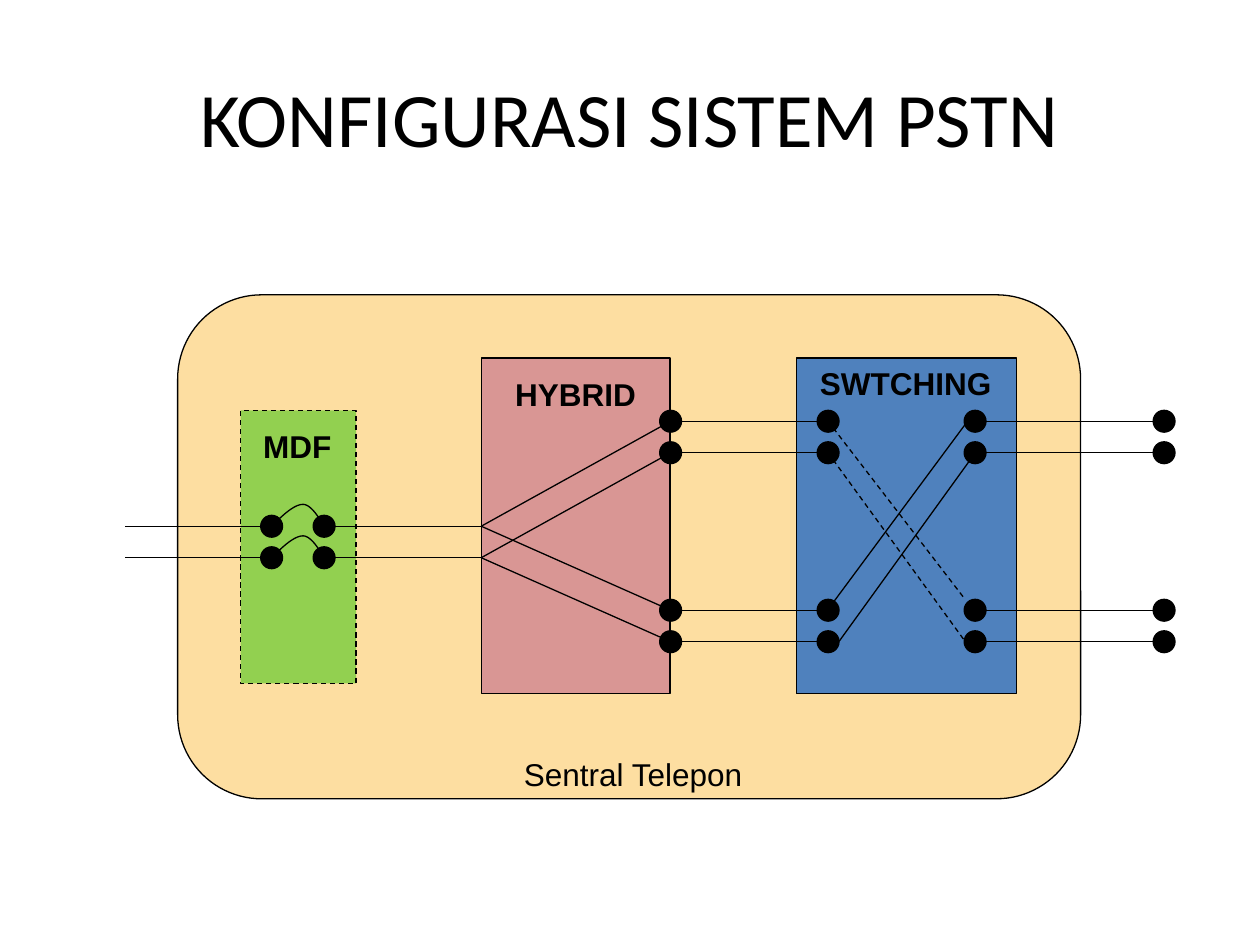
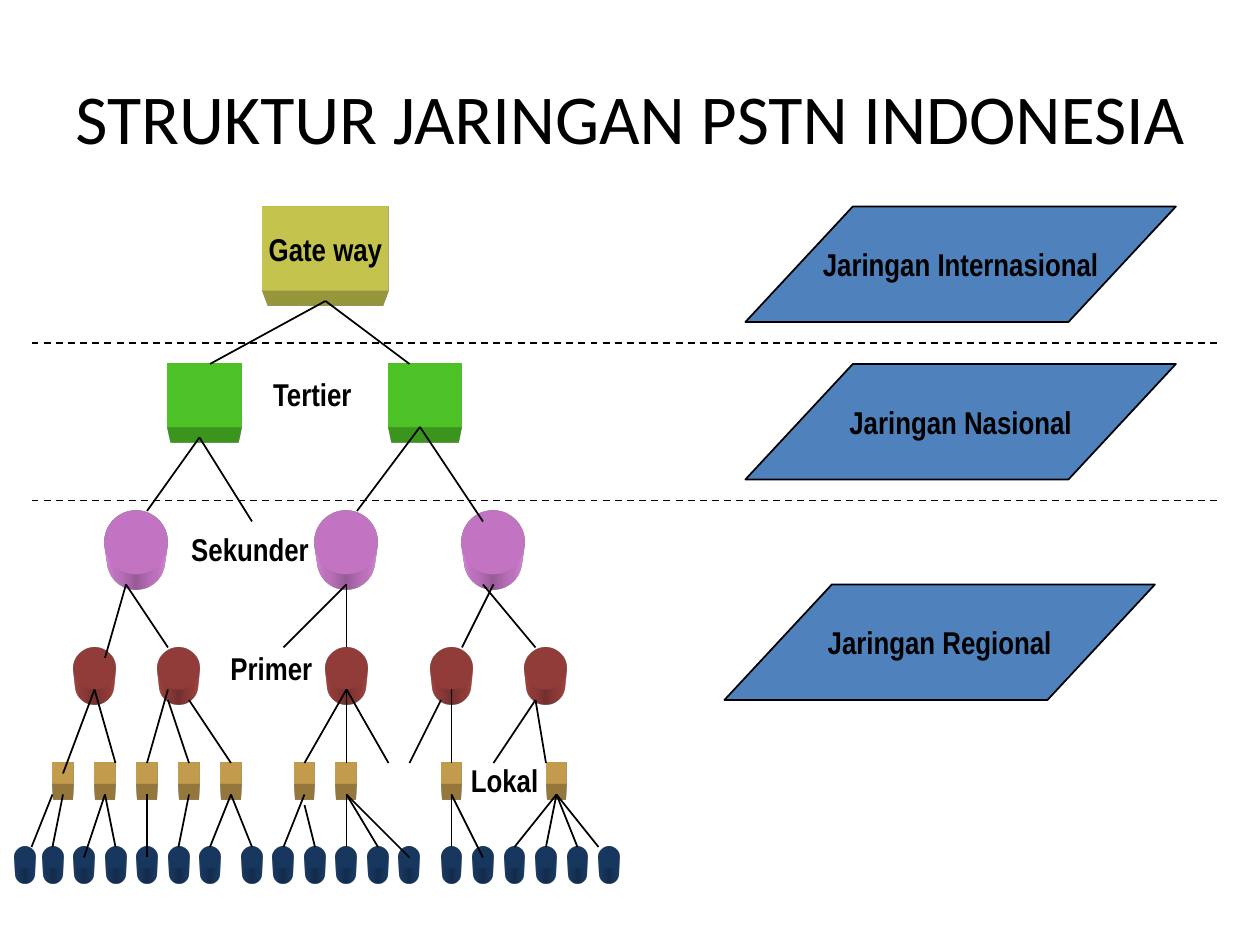
"""Build two slides on the PSTN: the exchange layout and the network hierarchy."""
from dataclasses import dataclass
from typing import NamedTuple

from lxml.etree import SubElement
from pptx import Presentation
from pptx.dml.color import RGBColor
from pptx.enum.dml import MSO_LINE
from pptx.enum.shapes import MSO_CONNECTOR, MSO_SHAPE
from pptx.enum.text import MSO_ANCHOR, MSO_AUTO_SIZE, PP_ALIGN
from pptx.oxml.ns import qn
from pptx.util import Pt


@dataclass(frozen=True)
class Theme:
    """Colours, fonts and sizes used on both slides."""
    ink: str = "000000"
    exchange: str = "FDDEA1"
    hybrid: str = "D99694"
    blue: str = "4F81BD"
    frame: str = "92D050"
    gateway: str = "FFFF66"
    tertiary: str = "66FF33"
    secondary: str = "FF99FF"
    primary: str = "C0504D"
    local: str = "FFCC66"
    subscriber: str = "1F497D"
    title_font: str = "Calibri"
    label_font: str = "Arial"
    narrow_font: str = "Arial Narrow"
    label_size: float = 18
    thin: float = 0.75
    medium: float = 1
    depth: int = 887400


THEME = Theme()


class Area(NamedTuple):
    """A rectangle in points."""
    left: float
    top: float
    width: float
    height: float


class Spot(NamedTuple):
    """A place in points."""
    x: float
    y: float


@dataclass(frozen=True)
class Fan:
    """Lines that leave one apex for several ends."""
    apex: Spot
    ends: tuple[tuple[float, float], ...]


@dataclass(frozen=True)
class Level:
    """One row of equal solid nodes in the hierarchy."""
    kind: MSO_SHAPE
    colour: str
    top: float
    width: float
    height: float
    lefts: tuple[float, ...]


def lengths(area: Area) -> list:
    """Turn an area into slide lengths."""
    return [Pt(value) for value in area]


def style_line(line, width: float, dashed: bool = False) -> None:
    """Give a line the ink colour, a width and perhaps dashes."""
    line.color.rgb = RGBColor.from_string(THEME.ink)
    line.width = Pt(width)
    if dashed:
        line.dash_style = MSO_LINE.DASH


def write(shape, text: str, font: str, size: float, bold: bool = True,
          align: PP_ALIGN = PP_ALIGN.CENTER, wrap: bool = False) -> None:
    """Put one formatted paragraph in a shape."""
    frame = shape.text_frame
    frame.text = text
    frame.word_wrap = wrap
    frame.vertical_anchor = MSO_ANCHOR.MIDDLE
    paragraph = frame.paragraphs[0]
    paragraph.alignment = align
    span = paragraph.runs[0].font
    span.name, span.size, span.bold = font, Pt(size), bold
    span.color.rgb = RGBColor.from_string(THEME.ink)


def add_title(page, text: str, size: float) -> None:
    """Add the slide title."""
    box = page.shapes.add_textbox(*lengths(Area(36, 21.6, 648, 90)))
    write(box, text, THEME.title_font, size, bold=False, wrap=True)


def add_label(page, text: str, area: Area, font: str, bold: bool = True) -> None:
    """Add a text label that does not wrap."""
    box = page.shapes.add_textbox(*lengths(area))
    write(box, text, font, THEME.label_size, bold, PP_ALIGN.LEFT)
    box.text_frame.vertical_anchor = MSO_ANCHOR.TOP
    box.text_frame.auto_size = MSO_AUTO_SIZE.SHAPE_TO_FIT_TEXT


def add_block(page, kind: MSO_SHAPE, area: Area, colour: str,
              width: float = 0, dashed: bool = False):
    """Add a filled preset shape, outlined when a width is given."""
    shape = page.shapes.add_shape(kind, *lengths(area))
    shape.shadow.inherit = False
    shape.fill.solid()
    shape.fill.fore_color.rgb = RGBColor.from_string(colour)
    if width:
        style_line(shape.line, width, dashed)
    else:
        shape.line.fill.background()
    return shape


def add_solid(page, kind: MSO_SHAPE, area: Area, colour: str):
    """Add a shape extruded downwards in perspective."""
    shape = add_block(page, kind, area, colour)
    properties = shape.element.spPr
    scene = SubElement(properties, qn("a:scene3d"))
    SubElement(scene, qn("a:camera"), prst="legacyPerspectiveBottom")
    SubElement(scene, qn("a:lightRig"), rig="legacyFlat3", dir="t")
    solid = SubElement(properties, qn("a:sp3d"),
                       extrusionH=str(THEME.depth), prstMaterial="legacyMatte")
    for bevel in ("a:bevelT", "a:bevelB"):
        SubElement(solid, qn(bevel), w="13500", h="13500", prst="angle")
    side = SubElement(solid, qn("a:extrusionClr"))
    SubElement(side, qn("a:srgbClr"), val=colour)
    return shape


def add_wire(page, start: Spot, end: Spot, width: float, dashed: bool = False) -> None:
    """Add a straight line."""
    wire = page.shapes.add_connector(
        MSO_CONNECTOR.STRAIGHT, *[Pt(value) for value in (*start, *end)])
    style_line(wire.line, width, dashed)
    SubElement(wire.element.spPr, qn("a:effectLst"))


def add_dot(page, centre: Spot) -> None:
    """Add a round terminal."""
    size = 12.5
    area = Area(centre.x - size / 2, centre.y - size / 2, size, size)
    add_block(page, MSO_SHAPE.OVAL, area, THEME.ink, THEME.thin)


def bezier(points: tuple[Spot, ...], steps: int = 16) -> list[Spot]:
    """Sample a cubic curve after its start."""
    weights = (1, 3, 3, 1)
    samples = []
    for step in range(1, steps + 1):
        t = step / steps
        factors = [w * (1 - t) ** (3 - i) * t ** i for i, w in enumerate(weights)]
        samples.append(Spot(sum(f * p.x for f, p in zip(factors, points)),
                            sum(f * p.y for f, p in zip(factors, points))))
    return samples


def add_jumper(page, left: Spot) -> None:
    """Add the curved jumper between two terminals of the frame."""
    offsets = ((0, 0), (6.5, -6.5), (13, -12.5), (18, -12.5),
               (23, -12.5), (29, -2), (29.5, 0))
    points = tuple(Spot(left.x + x, left.y + y) for x, y in offsets)
    curve = bezier(points[:4]) + bezier(points[3:])
    builder = page.shapes.build_freeform(Pt(left.x), Pt(left.y))
    builder.add_line_segments([(Pt(x), Pt(y)) for x, y in curve], close=False)
    jumper = builder.convert_to_shape()
    jumper.shadow.inherit = False
    jumper.fill.background()
    style_line(jumper.line, THEME.thin)


def build_exchange(page) -> None:
    """Draw the exchange with its frame, hybrid and switch."""
    add_title(page, "KONFIGURASI SISTEM PSTN", 44)
    thin = THEME.thin
    add_block(page, MSO_SHAPE.ROUNDED_RECTANGLE, Area(101.5, 168.5, 516, 288),
              THEME.exchange, thin)
    add_block(page, MSO_SHAPE.RECTANGLE, Area(275, 204.5, 108, 192), THEME.hybrid, thin)
    add_block(page, MSO_SHAPE.RECTANGLE, Area(455, 204.5, 126, 192), THEME.blue, thin)
    add_block(page, MSO_SHAPE.RECTANGLE, Area(137.5, 234.5, 66, 156),
              THEME.frame, thin, dashed=True)

    high, middle, low, pair_gap = 240.7, 300.7, 348.7, 18
    frame_in, frame_out, split = 155.2, 185.2, 275
    hybrid_out, switch_in, switch_out, far = 383.2, 473.2, 557.2, 665.2
    for shift in (0, pair_gap):
        entry = middle + shift
        add_wire(page, Spot(71.5, entry), Spot(frame_in, entry), thin)
        add_wire(page, Spot(frame_out, entry), Spot(split, entry), thin)
        add_jumper(page, Spot(frame_in, entry))
        for x in (frame_in, frame_out):
            add_dot(page, Spot(x, entry))
        for row in (high + shift, low + shift):
            add_wire(page, Spot(split, entry), Spot(hybrid_out, row), thin)
            add_wire(page, Spot(hybrid_out, row), Spot(switch_in, row), thin)
            add_wire(page, Spot(switch_out, row), Spot(far, row), thin)
            for x in (hybrid_out, switch_in, switch_out, far):
                add_dot(page, Spot(x, row))

    add_wire(page, Spot(473, 240.5), Spot(551.5, 342.5), thin, dashed=True)
    add_wire(page, Spot(473, 258.5), Spot(551.5, 366.5), thin, dashed=True)
    add_wire(page, Spot(473, 348.5), Spot(557.5, 234.5), thin)
    add_wire(page, Spot(479.5, 366.5), Spot(557.5, 258.5), thin)

    for text, area in (("MDF", Area(143.3, 240.5, 53.3, 29)),
                       ("HYBRID", Area(287.3, 211, 83.5, 29)),
                       ("SWTCHING", Area(461.5, 204.5, 112.3, 29))):
        add_label(page, text, area, THEME.label_font)
    add_label(page, "Sentral Telepon", Area(292.3, 427.7, 140.4, 29),
              THEME.label_font, bold=False)


LEVELS = (
    Level(MSO_SHAPE.RECTANGLE, THEME.tertiary, 208, 42, 36, (96, 222)),
    Level(MSO_SHAPE.OVAL, THEME.secondary, 292, 36, 36, (60, 180, 264)),
    Level(MSO_SHAPE.OVAL, THEME.primary, 370, 24, 24, (42, 90, 186, 246, 300)),
    Level(MSO_SHAPE.RECTANGLE, THEME.local, 436, 12, 12,
          (30, 54, 78, 102, 126, 168, 192, 252, 312)),
    Level(MSO_SHAPE.OVAL, THEME.subscriber, 484, 12, 12,
          (8.5, *range(24, 115, 18), *range(138, 229, 18), *range(252, 343, 18))),
)

FANS = (
    Fan(Spot(186, 172), ((234, 208), (120, 208))),
    Fan(Spot(240, 244), ((204, 292), (276, 298))),
    Fan(Spot(114, 250), ((84, 292), (144, 298))),
    Fan(Spot(72, 334), ((60, 376), (96, 370))),
    Fan(Spot(198, 334), ((198, 370), (162, 370))),
    Fan(Spot(282, 334), ((264, 370),)),
    Fan(Spot(276, 334), ((306, 370),)),
    Fan(Spot(54, 394), ((36, 442), (66, 436))),
    Fan(Spot(96, 394), ((84, 436),)),
    Fan(Spot(96, 400), ((108, 436),)),
    Fan(Spot(108, 400), ((132, 436),)),
    Fan(Spot(198, 394), ((174, 436), (198, 436), (222, 436))),
    Fan(Spot(258, 394), ((258, 436),)),
    Fan(Spot(252, 400), ((234, 436),)),
    Fan(Spot(306, 400), ((312, 436), (282, 436))),
    Fan(Spot(30, 454), ((18, 484),)),
    Fan(Spot(36, 454), ((30, 484),)),
    Fan(Spot(60, 454), ((48, 490), (66, 484))),
    Fan(Spot(84, 454), ((84, 490),)),
    Fan(Spot(108, 454), ((102, 484),)),
    Fan(Spot(132, 454), ((120, 484), (144, 484))),
    Fan(Spot(174, 454), ((162, 484),)),
    Fan(Spot(174, 460), ((180, 484),)),
    Fan(Spot(198, 454), ((234, 490), (198, 484), (216, 484))),
    Fan(Spot(258, 454), ((258, 484), (276, 490))),
    Fan(Spot(318, 454), ((294, 484), (312, 484), (330, 484), (342, 484))),
)


def build_hierarchy(page) -> None:
    """Draw the network levels from the gateway to the subscribers."""
    add_title(page, "STRUKTUR JARINGAN PSTN INDONESIA", 40)
    gateway = add_solid(page, MSO_SHAPE.RECTANGLE, Area(150, 118, 72, 48), THEME.gateway)
    write(gateway, "Gate way", THEME.narrow_font, THEME.label_size)
    for level in LEVELS:
        for left in level.lefts:
            add_solid(page, level.kind, Area(left, level.top, level.width, level.height),
                      level.colour)
    for fan in FANS:
        for end in fan.ends:
            add_wire(page, fan.apex, Spot(*end), THEME.medium)
    for text, left, top in (("Jaringan Internasional", 426, 118),
                            ("Jaringan Nasional", 426, 208),
                            ("Jaringan Regional", 414, 334)):
        zone = add_block(page, MSO_SHAPE.PARALLELOGRAM, Area(left, top, 246, 66),
                         THEME.blue, THEME.medium)
        zone.adjustments[0] = 0.93
        write(zone, text, THEME.narrow_font, THEME.label_size)
    for text, area in (("Tertier", Area(149, 211, 60.5, 29)),
                       ("Sekunder", Area(102.2, 299.5, 82, 29)),
                       ("Primer", Area(124.6, 367.2, 61.2, 29)),
                       ("Lokal", Area(262, 431.3, 53.3, 29))):
        add_label(page, text, area, THEME.narrow_font)
    for border in (196, 286):
        add_wire(page, Spot(18, border), Spot(696, border), THEME.medium, dashed=True)


def main() -> None:
    """Build and save the deck."""
    deck = Presentation()
    deck.slide_width, deck.slide_height = Pt(720), Pt(540)
    for build in (build_exchange, build_hierarchy):
        build(deck.slides.add_slide(deck.slide_layouts[6]))
    deck.save("out.pptx")


main()
